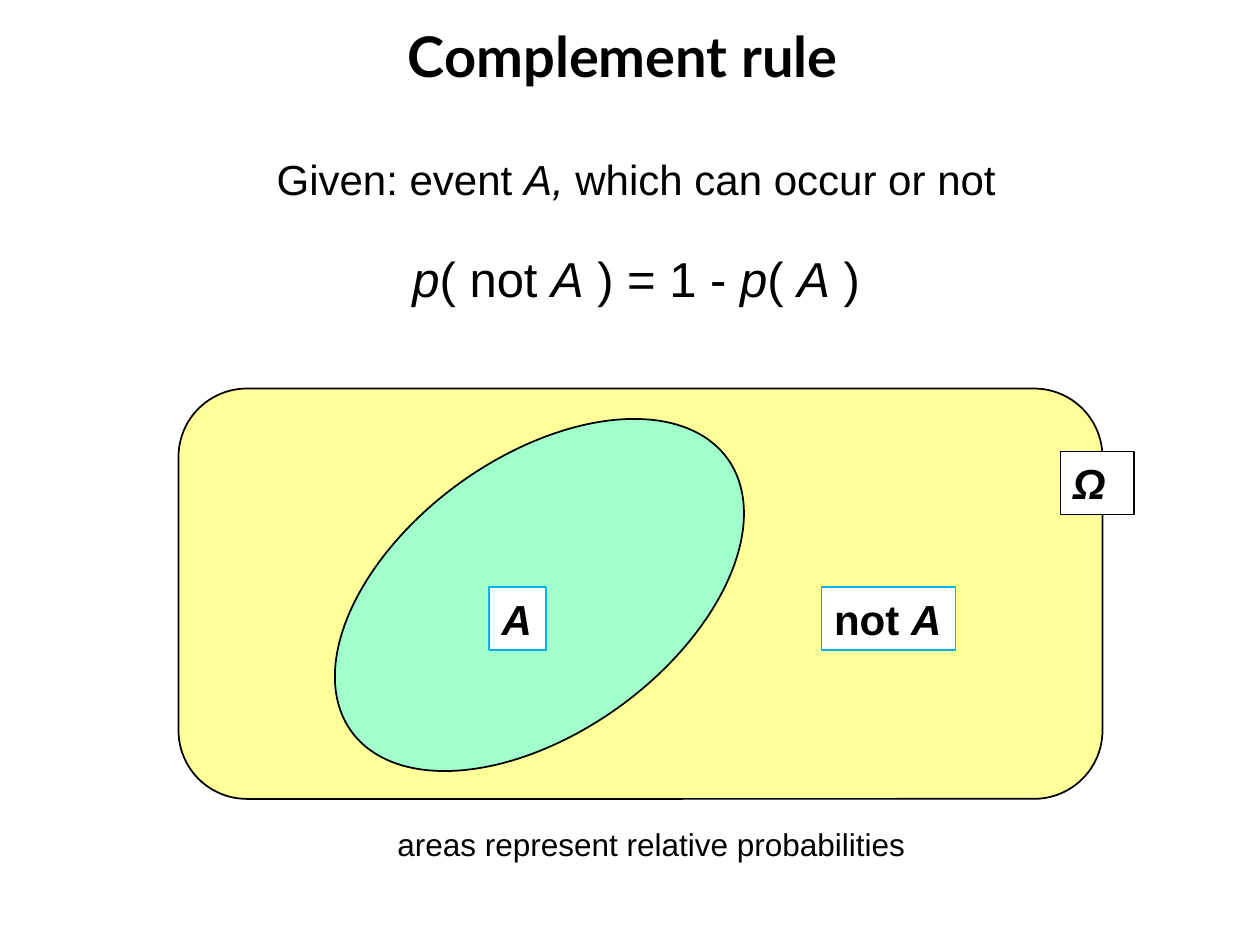
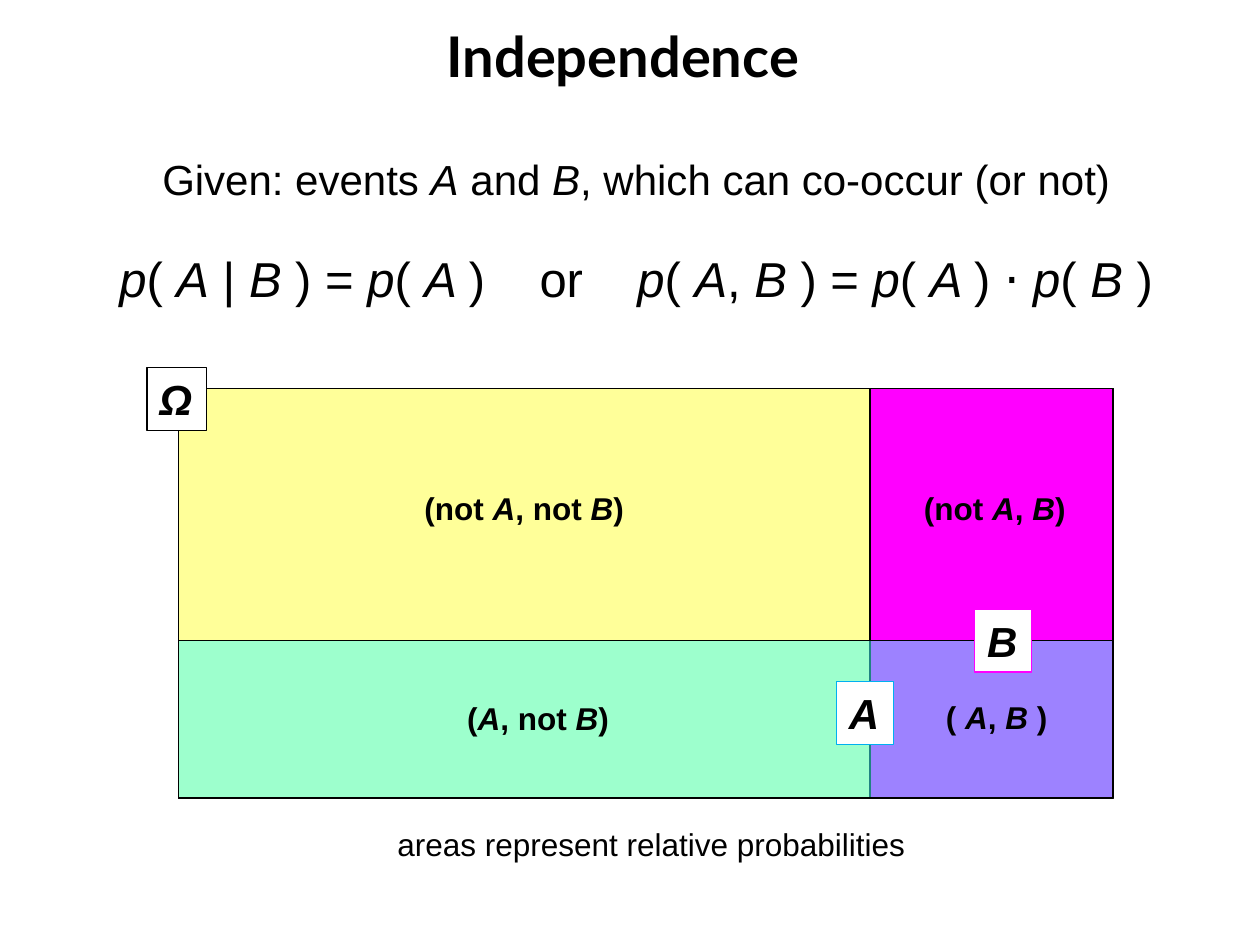
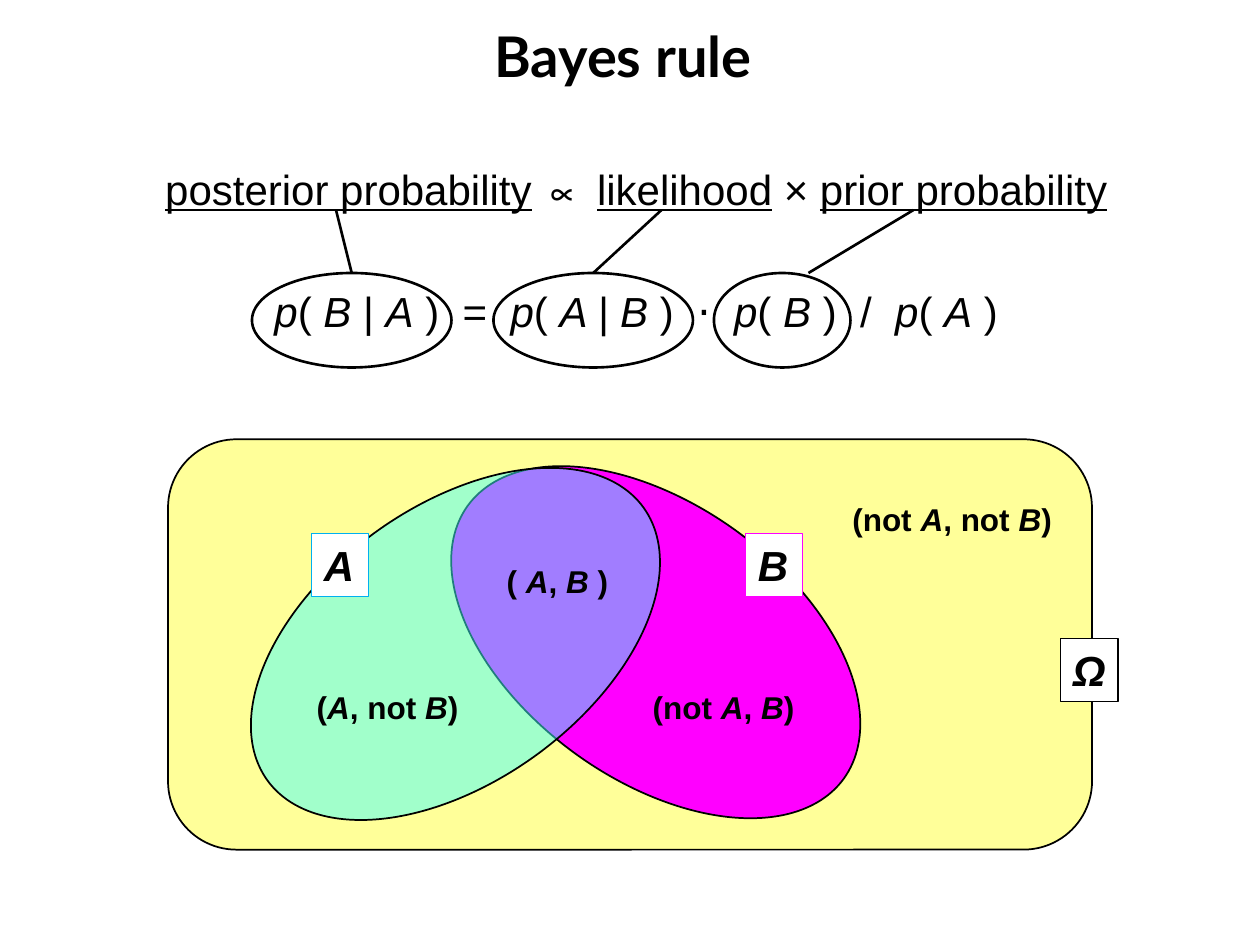
from itertools import groupby

from lxml import etree
from pptx import Presentation
from pptx.dml.color import RGBColor
from pptx.enum.shapes import MSO_CONNECTOR, MSO_SHAPE as SHAPE
from pptx.enum.text import MSO_ANCHOR as ANCHOR, PP_ALIGN as ALIGN
from pptx.oxml.ns import qn
from pptx.util import Pt

COLORS = {
    "black": "000000",
    "white": "FFFFFF",
    "omega": "FFFF99",
    "a": "40FFFF",
    "b": "FF00FF",
    "a_edge": "00B0F0",
}
BODY_FONT, TITLE_FONT = "Arial", "Lato"
MARKS = "*_~"  # toggle italic, toggle underline, one stretched space


def rgb(name):
    return RGBColor.from_string(COLORS[name])


class Deck:
    def __init__(self):
        self.prs = Presentation()
        self.prs.slide_width, self.prs.slide_height = Pt(720), Pt(540)
        self.slide = None

    # Text
    def runs(self, p, text, size, bold=False, font=BODY_FONT, gap=0):
        """Fill a paragraph from marked text; gap widens each stretched space."""
        on = {"*": False, "_": False}

        def add(content):
            r = p.add_run()
            r.text = content
            f = r.font
            f.name, f.size, f.bold = font, Pt(size), bold
            f.italic, f.underline = on["*"], on["_"]
            f.color.rgb = rgb("black")
            return r

        for marked, chars in groupby(text, lambda c: c in MARKS):
            if not marked:
                add("".join(chars))
                continue
            for c in chars:
                if c == "~":
                    add(" ").font._element.set("spc", str(round(gap * 100)))
                else:
                    on[c] = not on[c]

    def textbox(self, x, y, w, h, wrap=True):
        sp = self.slide.shapes.add_textbox(Pt(x), Pt(y), Pt(w), Pt(h))
        sp.text_frame.word_wrap = wrap
        return sp.text_frame

    def new_slide(self, title):
        self.slide = self.prs.slides.add_slide(self.prs.slide_layouts[6])
        tf = self.textbox(30, 12, 652, 42)
        tf.vertical_anchor = ANCHOR.BOTTOM
        p = tf.paragraphs[0]
        p.alignment, p.line_spacing = ALIGN.CENTER, Pt(36)
        self.runs(p, title, 32, True, TITLE_FONT)

    def statement(self, intro, formula, size=28, y=84, space=21.5, gap=0):
        """Introductory line with the formula below it."""
        tf = self.textbox(36, y, 655, 112)
        rows = ((intro, 24, 2.4), (formula, size, space))
        for i, (text, pts, before) in enumerate(rows):
            p = tf.add_paragraph() if i else tf.paragraphs[0]
            p.alignment = ALIGN.CENTER
            p.space_before, p.space_after = Pt(before), Pt(4)
            self.runs(p, text, pts, gap=gap)

    def caption(self, text):
        tf = self.textbox(220, 468, 307, 29)
        self.runs(tf.paragraphs[0], text, 18)

    def region(self, text, center, y, w=97):
        """Bold name of an area, centred on a given x."""
        p = self.textbox(center - w / 2, y, w, 29, wrap=False).paragraphs[0]
        p.alignment = ALIGN.CENTER
        self.runs(p, text, 18, True)

    # Shapes
    def shape(self, kind, x, y, w, h, fill=None, line="black", weight=1,
              alpha=None, angle=0):
        sp = self.slide.shapes.add_shape(kind, Pt(x), Pt(y), Pt(w), Pt(h))
        sp.shadow.inherit = False
        sp.rotation = angle
        sp.line.color.rgb, sp.line.width = rgb(line), Pt(weight)
        if fill:
            sp.fill.solid()
            sp.fill.fore_color.rgb = rgb(fill)
        else:
            sp.fill.background()
        if alpha:
            clr = sp._element.spPr.find(qn("a:solidFill"))[0]
            etree.SubElement(clr, qn("a:alpha")).set("val", str(alpha * 1000))
        return sp

    def omega(self, x, y, w=528, h=234.5, corner=0.1667):
        sp = self.shape(SHAPE.ROUNDED_RECTANGLE, x, y, w, h, "omega")
        sp.adjustments[0] = corner

    def event(self, x, y, fill, angle, alpha=None):
        self.shape(SHAPE.OVAL, x, y, 265.5, 157, fill, alpha=alpha, angle=angle)

    def label(self, text, x, y, line="black", w=32.5, wrap=False):
        sp = self.shape(SHAPE.RECTANGLE, x, y, w, 36, "white", line, 0.75)
        tf = sp.text_frame
        tf.word_wrap, tf.vertical_anchor = wrap, ANCHOR.TOP
        p = tf.paragraphs[0]
        p.alignment = ALIGN.LEFT
        self.runs(p, text, 24, True)

    def pointer(self, x1, y1, x2, y2):
        cx = self.slide.shapes.add_connector(
            MSO_CONNECTOR.STRAIGHT, Pt(x1), Pt(y1), Pt(x2), Pt(y2))
        cx.line.color.rgb, cx.line.width = rgb("black"), Pt(1.5)
        etree.SubElement(cx._element.spPr, qn("a:effectLst"))


AREAS = "areas represent relative probabilities"
A, B, OMEGA = "*A*", "*B*", "*Ω*"
BOTH, ONLY_A = "( *A*, *B* )", "(*A*, not *B*)"
ONLY_B, NEITHER = "(not *A*, *B*)", "(not *A*, not *B*)"

deck = Deck()

# Slide 1: complement rule
deck.new_slide("Complement rule")
deck.statement("Given: event *A,* which can occur or not",
               "*p*( not *A* ) = 1 - *p*( *A* )")
deck.caption(AREAS)
deck.omega(102, 222)
deck.event(175.5, 261.5, "a", 324, alpha=49)
deck.label(A, 279.5, 335.5, "a_edge")
deck.label(OMEGA, 606, 258, w=42, wrap=True)
deck.label("not *A*", 469.5, 335.5, "a_edge", w=76.5)

# Slide 2: independence, with B as a column and A as a row of omega
deck.new_slide("Independence")
deck.statement(
    "Given: events *A* and *B*, which can co-occur (or not)",
    "*p*( *A* | *B* ) = *p*( *A *)~or~*p*( *A*, *B* ) = *p*( *A *) *⋅ p*( *B *)",
    gap=23.3)
deck.caption(AREAS)
left, top, width, height = 102, 222, 534, 234
col_b, row_a = 139, 90
deck.omega(left, top, width, height, corner=0)
deck.shape(SHAPE.RECTANGLE, left + width - col_b, top, col_b, height, "b")
deck.shape(SHAPE.RECTANGLE, left, top + height - row_a, width, row_a, "a",
           alpha=51)
deck.region(ONLY_A, 307.5, 396)
deck.label(B, 557, 348, "b")
deck.region(BOTH, 569.5, 395.5)
deck.region(ONLY_B, 568.5, 276)
deck.label(A, 478, 389.5, "a_edge")
deck.region(NEITHER, 299.5, 276, w=132)
deck.label(OMEGA, 84, 210, w=34)

# Slide 3: Bayes rule
deck.new_slide("Bayes rule")
deck.statement(
    "_posterior probability_ ∝ _likelihood_ × _prior probability_",
    "*p*( *B* | *A* )~=~*p*( *A | B* )~⋅~*p*( *B* )~/~*p*( *A* )",
    size=24, y=90, space=36.5, gap=6.7)
deck.omega(96, 251)
deck.event(242, 288.5, "b", 36)
deck.event(127.5, 289.5, "a", 324, alpha=49)
deck.region(ONLY_A, 221.5, 389.5)
deck.label(B, 426, 305, "b")
deck.region(BOTH, 318.5, 317.5)
deck.region(ONLY_B, 413.5, 389.5)
deck.label(A, 178, 305, "a_edge")
deck.region(NEITHER, 544, 282, w=132)
deck.label(OMEGA, 606, 365, w=33)

# Circled terms, each tied to its name: left, width, pointer start and end
for x, w, start, end in ((144, 114, 192, 201), (282, 114, 378, 339),
                         (408, 78, 522, 462)):
    deck.shape(SHAPE.OVAL, x, 156, w, 54, weight=1.5)
    deck.pointer(start, 120, end, 156)

deck.prs.save("out.pptx")
